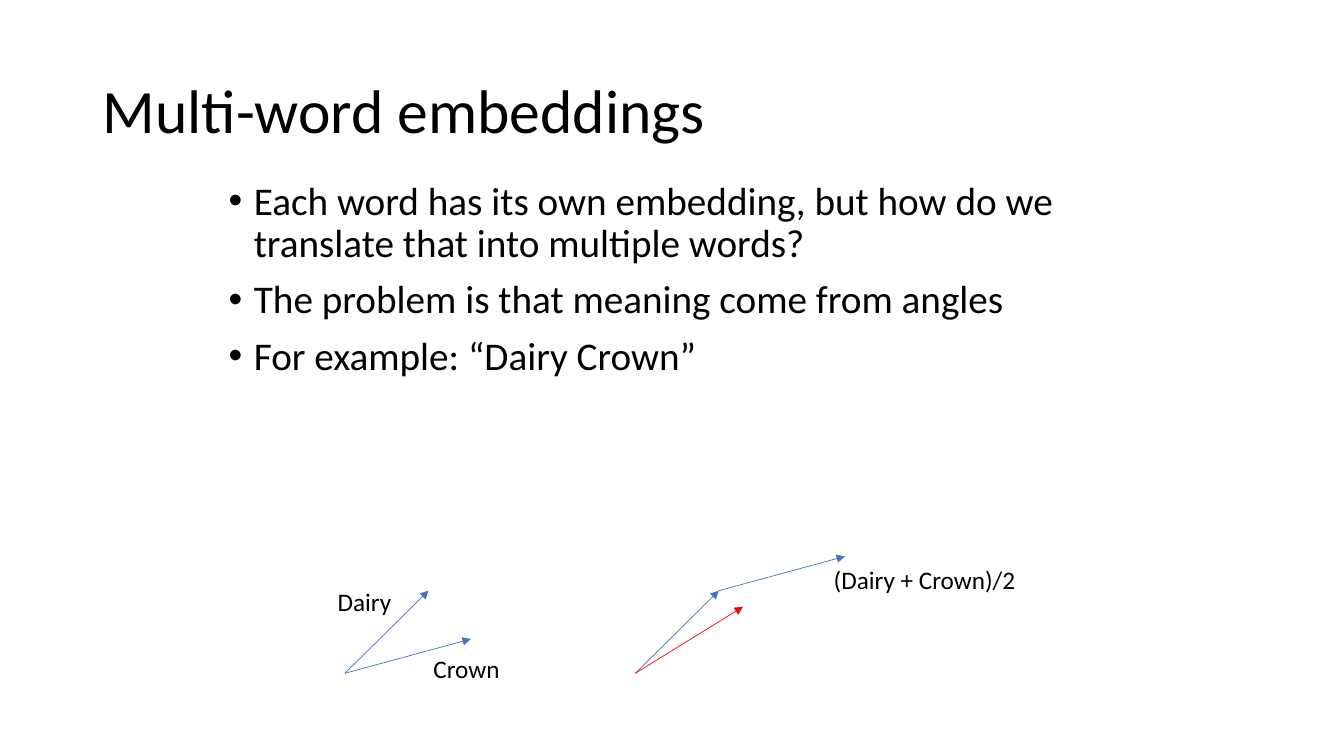
from lxml.etree import SubElement
from pptx import Presentation
from pptx.dml.color import RGBColor
from pptx.enum.shapes import MSO_CONNECTOR
from pptx.enum.text import MSO_ANCHOR, MSO_AUTO_SIZE
from pptx.oxml.ns import qn
from pptx.util import Inches, Pt

BLACK, BLUE, RED = "000000", "4472C4", "FF0000"
FONT = "Calibri"


def rgb(hex_color):
    return RGBColor.from_string(hex_color)


def add_text_frame(slide, left, top, width, height, wrap=True):
    box = slide.shapes.add_textbox(*map(Inches, (left, top, width, height)))
    frame = box.text_frame
    frame.word_wrap = wrap
    return frame


def add_run(paragraph, text, size):
    run = paragraph.add_run()
    run.text = text
    run.font.name = FONT
    run.font.size = Pt(size)
    run.font.color.rgb = rgb(BLACK)


def add_title(slide, text):
    frame = add_text_frame(slide, 0.92, 0.4, 11.5, 1.45)
    frame.vertical_anchor = MSO_ANCHOR.MIDDLE
    title = frame.paragraphs[0]
    title.line_spacing = 0.9
    add_run(title, text, 44)


def set_bullet(paragraph):
    properties = paragraph._p.get_or_add_pPr()
    properties.set("marL", str(Inches(0.25)))
    properties.set("indent", str(-Inches(0.25)))
    SubElement(properties, qn("a:buFont"), typeface="Arial")
    SubElement(properties, qn("a:buChar"), char="•")


def add_bullets(slide, points):
    frame = add_text_frame(slide, 2.17, 1.75, 9, 3.25)
    for index, point in enumerate(points):
        paragraph = frame.add_paragraph() if index else frame.paragraphs[0]
        set_bullet(paragraph)
        paragraph.line_spacing = 0.9
        if index:
            paragraph.space_before = Pt(10)
        add_run(paragraph, point, 28)


def add_label(slide, text, left, top, width):
    frame = add_text_frame(slide, left, top, width, 0.4, wrap=False)
    frame.auto_size = MSO_AUTO_SIZE.SHAPE_TO_FIT_TEXT
    add_run(frame.paragraphs[0], text, 18)


def add_vector(slide, start, step, color=BLUE):
    """Draw an arrow from start along step and return its tip."""
    tip = (start[0] + step[0], start[1] + step[1])
    arrow = slide.shapes.add_connector(
        MSO_CONNECTOR.STRAIGHT, *map(Inches, start + tip))
    arrow.line.color.rgb = rgb(color)
    arrow.line.width = Pt(0.5)
    SubElement(arrow.line._get_or_add_ln(), qn("a:tailEnd"), type="triangle")
    SubElement(arrow._element.spPr, qn("a:effectLst"))
    return tip


def main():
    deck = Presentation()
    deck.slide_width, deck.slide_height = Inches(13.33), Inches(7.5)
    slide = deck.slides.add_slide(deck.slide_layouts[6])

    add_title(slide, "Multi-word embeddings")
    add_bullets(slide, [
        "Each word has its own embedding, but how do we translate that "
        "into multiple words?",
        "The problem is that meaning come from angles",
        "For example: “Dairy Crown”",
    ])

    dairy, crown, average = (0.83, -0.82), (1.25, -0.34), (1.07, -0.66)
    words_origin, sum_origin = (3.42, 6.68), (6.3, 6.68)

    add_vector(slide, words_origin, crown)
    add_vector(slide, words_origin, dairy)
    add_label(slide, "Dairy", 3.25, 5.77, 0.74)
    add_label(slide, "Crown", 4.2, 6.43, 0.89)

    dairy_tip = add_vector(slide, sum_origin, dairy)
    add_vector(slide, dairy_tip, crown)
    add_vector(slide, sum_origin, average, RED)
    add_label(slide, "(Dairy + Crown)/2", 8.17, 5.55, 2.05)

    deck.save("out.pptx")


if __name__ == "__main__":
    main()
